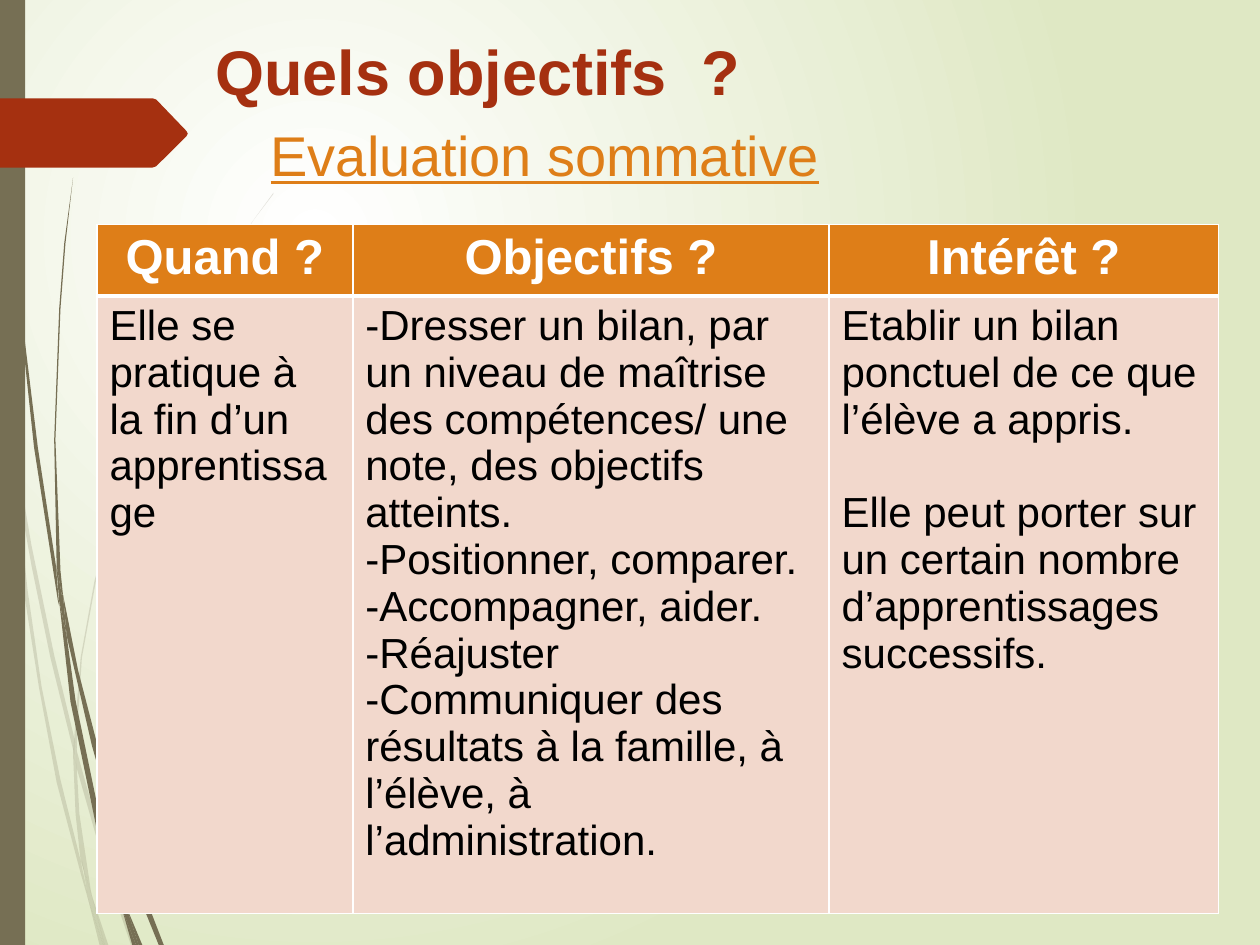
from lxml.etree import SubElement
from pptx import Presentation
from pptx.dml.color import RGBColor
from pptx.enum.text import MSO_ANCHOR, PP_ALIGN
from pptx.enum.shapes import MSO_SHAPE
from pptx.oxml import parse_xml
from pptx.oxml.ns import nsdecls, qn
from pptx.util import Inches, Pt

WHITE = RGBColor(0xFF, 0xFF, 0xFF)
BLACK = RGBColor(0, 0, 0)
PALE_GREEN = RGBColor(0xDF, 0xE8, 0xC4)
OLIVE = RGBColor(0x76, 0x6F, 0x54)
RUST = RGBColor(0xA5, 0x30, 0x10)
ORANGE = RGBColor(0xDE, 0x7E, 0x18)
PINK = RGBColor(0xF2, 0xD8, 0xCC)

WIDTH, HEIGHT = 10, 7.5
TITLE_BOX = (1.61, 0.21, 8.03, 0.71)
SUBTITLE_BOX = (2.05, 0.91, 6.3, 0.64)
TABLE_BOX = (0.77, 1.78, 8.9, 5.47)
ARROW_BOX = (0, 0.78, 1.49, 0.55)
UNITS_PER_INCH = 100

TITLE_FONT = {"name": "Arial", "size": Pt(36), "bold": True}
SUBTITLE_FONT = {"name": "Arial", "size": Pt(32), "underline": True}
HEADER_FONT = {"name": "Arial", "size": Pt(28), "bold": True}
BODY_FONT = {"name": "Arial", "size": Pt(24), "bold": False}
HEADING_FRAME = {"word_wrap": True, "vertical_anchor": MSO_ANCHOR.TOP}

COLUMN_SHARES = (2.03, 3.78, 3.09)
HEADER_HEIGHT = 0.57
BLANK_LINE = Pt(26.8)
HEADERS = ("Quand ?", "Objectifs ?", "Intérêt ?")
BODIES = (
    ("Elle se pratique à la fin d’un apprentissage",),
    ("-Dresser un bilan, par un niveau de maîtrise des compétences/ une note, "
     "des objectifs atteints.",
     "-Positionner, comparer.",
     "-Accompagner, aider.",
     "-Réajuster",
     "-Communiquer des résultats à la famille, à l’élève, à l’administration."),
    ("Etablir un bilan ponctuel de ce que l’élève a appris.",
     "Elle peut porter sur un certain nombre d’apprentissages successifs."),
)
SPACED_COLUMN = 2

# Outlines of the grass blades, in inches
FAINT_BLADES = (
    "0.4,5.22 0.59,5.99 0.59,5.86 0.43,5.2 0.25,4.33 0.1,3.45 0.12,3.76 0.25,4.49",
    "0.64,6.07 0.61,5.96 0.61,6.1 0.85,6.94 1.04,7.5 1.08,7.5 0.88,6.92",
    "0.83,7.5 0.86,7.5 0.73,7.11",
    "0.64,6.83 0.48,6.19 0.33,5.45 0.22,4.69 0.12,3.76 0.08,3.5 0.19,4.7 "
    "0.31,5.46 0.45,6.21 0.64,6.93 0.7,7.14 0.69,7.07",
    "0.58,5.99 0.6,6.46 0.64,6.83 0.67,6.92 0.73,7.11 0.72,7.06 0.63,6.46 0.61,6.1 0.61,6.08",
    "0.61,5.84 0.65,5.22 0.76,4.62 0.92,4.05 1.11,3.49 1.34,2.96 1.59,2.45 1.87,1.98 "
    "2.01,1.75 2.17,1.54 2.17,1.53 2.01,1.75 1.86,1.97 1.58,2.44 1.33,2.95 "
    "1.1,3.48 0.91,4.04 0.75,4.61 0.64,5.22 0.59,5.84 0.59,5.86 0.61,5.96",
    "0.7,7.14 0.79,7.5 0.82,7.5",
    "0.61,6.08 0.61,6.1 0.61,5.96 0.59,5.86 0.58,5.99",
    "0.67,6.92 0.65,6.83 0.69,7.07 0.7,7.14 0.82,7.5 0.83,7.5 0.73,7.11",
)
DARK_BLADES = (
    "0.05,1.1 0.14,2.33 0.27,3.55 0.46,4.77 0.47,4.81 0.45,4.57 0.45,4.53 0.3,3.55 "
    "0.15,2.32 0.06,1.09 0.04,0.48 0.03,0 0.02,0 0.03,0.48",
    "0.73,5.92 0.88,6.45 0.88,6.33 0.88,6.31 0.77,5.9 0.62,5.32 0.5,4.72 0.53,5.05",
    "0.94,6.49 0.91,6.41 0.91,6.56 1.09,7.08 1.26,7.5 1.3,7.5 1.13,7.06",
    "0.91,6.91 0.81,6.57 0.6,5.56 0.53,5.05 0.47,4.77 0.56,5.57 0.77,6.59 "
    "0.92,7.08 0.97,7.22 0.96,7.17",
    "0.5,4.72 0.48,4.53 0.44,3.49 0.48,2.45 0.52,1.93 0.58,1.41 0.51,1.93 "
    "0.47,2.45 0.43,3.49 0.45,4.49 0.49,4.72",
    "1.1,7.5 1.13,7.5 1,7.19",
    "0.47,4.77 0.53,5.05 0.5,4.72 0.49,4.72 0.45,4.49 0.45,4.53",
    "0.97,7.22 1.05,7.5 1.08,7.5",
    "0.96,7.06 0.91,6.91 0.96,7.17 0.97,7.22 1.08,7.5 1.1,7.5 1,7.19",
)


def apply_format(target, values):
    for attribute, value in values.items():
        setattr(target, attribute, value)


def inches(box):
    return [Inches(length) for length in box]


def paint(shape, color, opacity=100):
    shape.shadow.inherit = False
    shape.fill.solid()
    shape.fill.fore_color.rgb = color
    shape.line.fill.background()
    if opacity < 100:
        srgb = next(shape.element.iter(qn("a:srgbClr")))
        SubElement(srgb, qn("a:alpha"), val=str(opacity * 1000))


def write(paragraph, text, font, color):
    run = paragraph.add_run()
    run.text = text
    apply_format(run.font, font)
    run.font.color.rgb = color


def add_outline(slide, points, color, opacity=100):
    # The builder rounds to whole units, so inches are scaled up first
    start, *rest = [(x * UNITS_PER_INCH, y * UNITS_PER_INCH) for x, y in points]
    builder = slide.shapes.build_freeform(*start, scale=Inches(1) / UNITS_PER_INCH)
    builder.add_line_segments(rest, close=True)
    paint(builder.convert_to_shape(), color, opacity)


def add_background(slide):
    fill = slide.background.fill
    fill.gradient()
    for stop, color, position in zip(fill.gradient_stops, (WHITE, PALE_GREEN), (0, 1)):
        stop.color.rgb = color
        stop.position = position
    linear = next(slide.element.iter(qn("a:lin")))
    radial = parse_xml(
        f'<a:path {nsdecls("a")} path="circle"><a:fillToRect l="50000" t="50000" '
        'r="100000" b="100000"/></a:path>')
    linear.getparent().replace(linear, radial)


def add_decoration(slide, arrow_box):
    # Grass blades, faint ones behind
    for blades, opacity in ((FAINT_BLADES, 20), (DARK_BLADES, 100)):
        for blade in blades:
            points = [tuple(map(float, pair.split(","))) for pair in blade.split()]
            add_outline(slide, points, OLIVE, opacity)
    # Side band
    band = slide.shapes.add_shape(
        MSO_SHAPE.RECTANGLE, 0, 0, Inches(WIDTH * 0.02), Inches(HEIGHT))
    paint(band, OLIVE)
    # Arrow tab with a blunted tip
    left, top, width, height = arrow_box
    right, middle, bottom = left + width, top + height / 2, top + height
    shoulder = right - 0.25
    add_outline(slide, [
        (left, top), (shoulder - 0.03, top), (shoulder, top + 0.01),
        (right - 0.01, middle - 0.02), (right, middle), (right - 0.01, middle + 0.02),
        (shoulder, bottom - 0.01), (shoulder - 0.03, bottom), (left, bottom)], RUST)


def add_headings(slide, title_box, subtitle_box):
    title = slide.shapes.title
    subtitle = slide.shapes.add_textbox(*inches(subtitle_box))
    apply_format(title, dict(zip(("left", "top", "width", "height"), inches(title_box))))
    for heading, text, font, color in (
            (title, "Quels objectifs  ?", TITLE_FONT, RUST),
            (subtitle, "Evaluation sommative", SUBTITLE_FONT, ORANGE)):
        apply_format(heading.text_frame, HEADING_FRAME)
        paragraph = heading.text_frame.paragraphs[0]
        paragraph.alignment = PP_ALIGN.LEFT
        write(paragraph, text, font, color)


def format_cell(cell, color, bottom_width):
    for side in ("L", "R", "T", "B"):
        width = Pt(bottom_width if side == "B" else 1)
        cell._tc.get_or_add_tcPr().append(parse_xml(
            f'<a:ln{side} {nsdecls("a")} w="{width}"><a:solidFill>'
            f'<a:srgbClr val="{WHITE}"/></a:solidFill></a:ln{side}>'))
    cell.fill.solid()
    cell.fill.fore_color.rgb = color


def add_objectives_table(slide, box):
    table = slide.shapes.add_table(2, len(HEADERS), *inches(box)).table
    for row, height in zip(table.rows, (HEADER_HEIGHT, box[3] - HEADER_HEIGHT)):
        row.height = Inches(height)
    for index, (header, lines) in enumerate(zip(HEADERS, BODIES)):
        table.columns[index].width = Inches(box[2] * COLUMN_SHARES[index] / sum(COLUMN_SHARES))
        head, body = table.cell(0, index), table.cell(1, index)
        format_cell(head, ORANGE, 3)
        format_cell(body, PINK, 1)
        heading = head.text_frame.paragraphs[0]
        heading.alignment = PP_ALIGN.CENTER
        write(heading, header, HEADER_FONT, WHITE)
        for number, line in enumerate(lines):
            frame = body.text_frame
            paragraph = frame.add_paragraph() if number else frame.paragraphs[0]
            write(paragraph, line, BODY_FONT, BLACK)
            if number and index == SPACED_COLUMN:
                paragraph.space_before = BLANK_LINE


def main():
    deck = Presentation()
    deck.slide_width, deck.slide_height = Inches(WIDTH), Inches(HEIGHT)
    slide = deck.slides.add_slide(deck.slide_layouts[5])
    add_background(slide)
    add_decoration(slide, ARROW_BOX)
    add_headings(slide, TITLE_BOX, SUBTITLE_BOX)
    add_objectives_table(slide, TABLE_BOX)
    deck.save("out.pptx")


if __name__ == "__main__":
    main()
